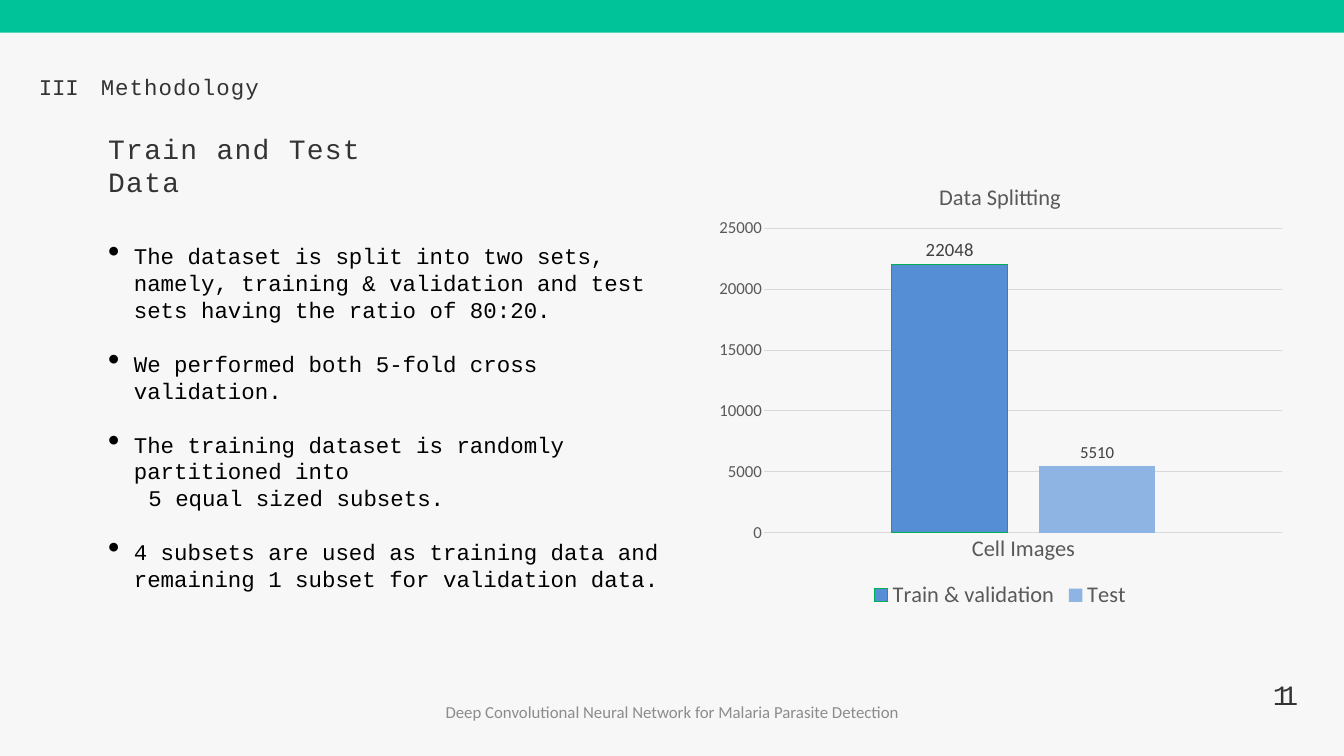
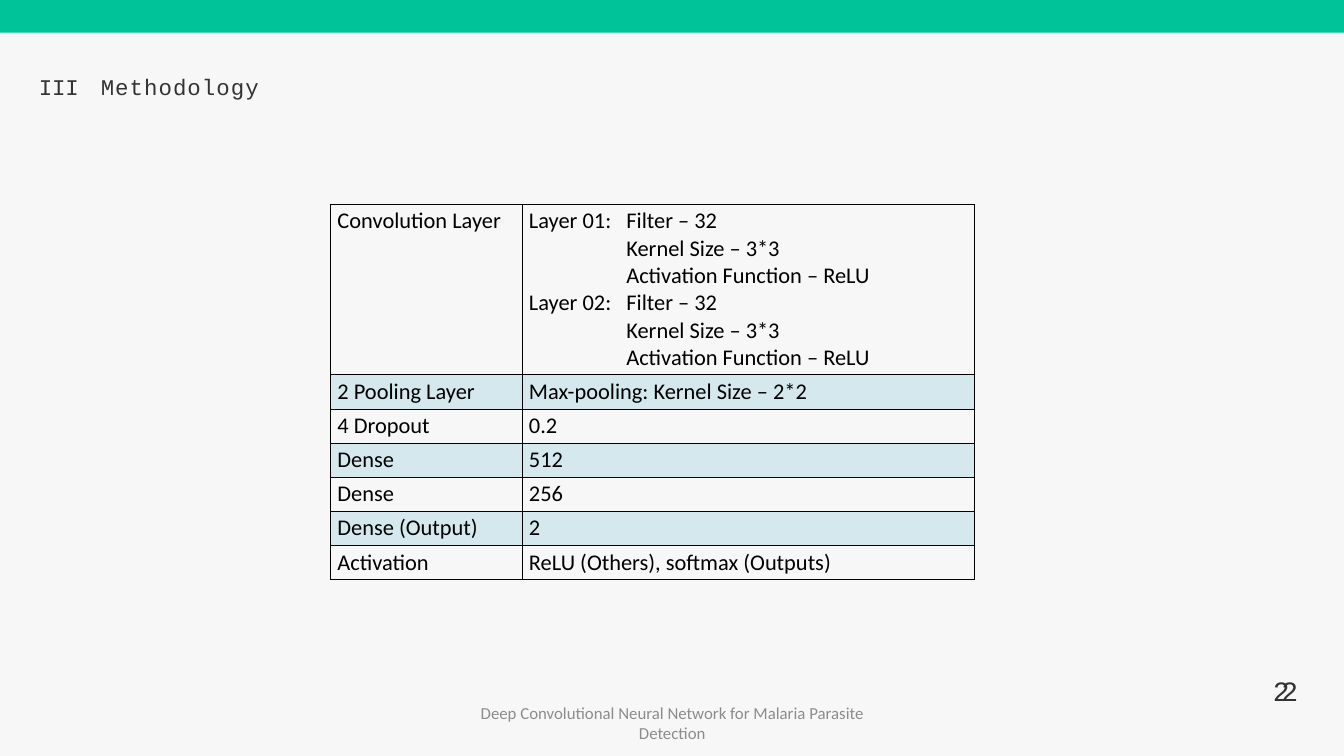
"""Builds two methodology slides: the data split chart and the network layer table."""
from lxml import etree
from pptx import Presentation
from pptx import util as u
from pptx.chart import data as chart_data
from pptx.dml.color import RGBColor
from pptx.enum import chart as charts, shapes, text
from pptx.oxml import parse_xml
from pptx.oxml import ns

COLORS = {
    "page": "F7F7F7", "band": "00C399", "heading": "333333", "body": "000000",
    "footer": "8C8C8C", "axis": "595959", "grid": "D9D9D9", "label": "404040",
    "train": "558ED5", "train_edge": "00B050", "test": "8EB4E3", "stripe": "4BACC6",
}
COLORS = {name: RGBColor.from_string(value) for name, value in COLORS.items()}
MONO, SANS = "Courier New", "Calibri"


def add_box(page, left, top, width, height, inset=0.0):
    box = page.shapes.add_textbox(u.Cm(left), u.Cm(top), u.Cm(width), u.Cm(height))
    frame = box.text_frame
    frame.word_wrap = True
    frame.auto_size = text.MSO_AUTO_SIZE.SHAPE_TO_FIT_TEXT
    frame.margin_left = frame.margin_right = frame.margin_bottom = 0
    frame.margin_top = u.Cm(inset)
    return frame


def write(para, words, size=24, font=MONO, color="body", spacing=0, before=None,
          align=None, margin=0, hanging=0, tab=None, bullet=False):
    span = para.add_run()
    span.text = words
    span.font.size = u.Pt(size)
    span.font.name = font
    span.font.color.rgb = COLORS[color]
    if spacing:
        span.font._element.set("spc", str(round(spacing * 100)))
    if before is not None:
        para.space_before = u.Pt(before)
    if align is not None:
        para.alignment = align
    props = para._p.get_or_add_pPr()
    if margin:
        props.set("marL", str(u.Cm(margin)))
        props.set("indent", str(-u.Cm(hanging)))
    if bullet:
        etree.SubElement(props, ns.qn("a:buSzPct"), val="150000")
        etree.SubElement(props, ns.qn("a:buChar"), char="•")
    if tab:
        stops = etree.SubElement(props, ns.qn("a:tabLst"))
        etree.SubElement(stops, ns.qn("a:tab"), pos=str(u.Cm(tab)), algn="l")


deck = Presentation()
deck.slide_width, deck.slide_height = u.Cm(50.8), u.Cm(28.58)

pages = []
for number, number_inset, footer_top, footer_width in (
        ("11", 0.15, 26.54, 18.72), ("22", 0, 26.57, 16.26)):
    page = deck.slides.add_slide(deck.slide_layouts[6])
    page.background.fill.solid()
    page.background.fill.fore_color.rgb = COLORS["page"]

    band = page.shapes.add_shape(shapes.MSO_SHAPE.RECTANGLE, 0, 0, deck.slide_width, u.Cm(1.24))
    band.shadow.inherit = False
    band.fill.solid()
    band.fill.fore_color.rgb = COLORS["band"]
    band.line.fill.background()

    section = add_box(page, 1.47, 2.72, 12.07, 1.07, 0.03).paragraphs[0]
    write(section, "III\t", color="heading", spacing=-0.2, before=1, tab=2.34)
    write(section, "Methodology", color="heading", spacing=1.1)

    number_box = add_box(page, 48.01, 25.45, 1.3, 1.8, number_inset)
    write(number_box.paragraphs[0], number, size=30, color="heading", spacing=-8.8,
          before=4.5, margin=0.1)

    footer = add_box(page, 25.41 - footer_width / 2, footer_top, footer_width, 1.42)
    write(footer.paragraphs[0], "Deep Convolutional Neural Network for Malaria Parasite Detection",
          size=18, font=SANS, color="footer", align=text.PP_ALIGN.CENTER)
    pages.append(page)

split_page, layers_page = pages

title = add_box(split_page, 4.09, 4.93, 12.62, 1.32, 0.03)
write(title.paragraphs[0], "Train and Test Data", size=30, color="heading", spacing=1.4, before=1)

points = add_box(split_page, 4.09, 9.14, 21.95, 11.33, 0.03)
bulleted = {"margin": 0.97, "hanging": 0.97, "bullet": True}
for index, (words, layout) in enumerate((
        ("The dataset is split into two sets, namely, training & validation and test sets "
         "having the ratio of 80:20.", bulleted),
        ("We performed both 5-fold cross validation.", bulleted | {"before": 28.8}),
        ("The training dataset is randomly partitioned into", bulleted | {"before": 28.8}),
        ("5 equal sized subsets.", {"margin": 1.52}),
        ("4 subsets are used as training data and remaining 1 subset for validation data.",
         bulleted | {"before": 28.8}))):
    para = points.add_paragraph() if index else points.paragraphs[0]
    write(para, words, **layout)

split = chart_data.CategoryChartData()
split.categories = ["Cell Images"]
split.add_series("Train & validation", [22048])
split.add_series("Test", [5510])
chart = split_page.shapes.add_chart(
    charts.XL_CHART_TYPE.COLUMN_CLUSTERED,
    u.Cm(26.67), u.Cm(6.25), u.Cm(22.25), u.Cm(16.94), split).chart
chart.font.name, chart.font.size = SANS, u.Pt(10)
chart.has_title = True
write(chart.chart_title.text_frame.paragraphs[0], "Data Splitting", font=SANS, color="axis")
chart.chart_title.text_frame.paragraphs[0].runs[0].font.bold = False
chart.chart_title.include_in_layout = False
chart.has_legend = True
chart.legend.position = charts.XL_LEGEND_POSITION.BOTTOM
chart.legend.include_in_layout = False

for part, size in ((chart.legend.font, 24), (chart.category_axis.tick_labels.font, 24),
                   (chart.value_axis.tick_labels.font, 18)):
    part.name, part.size = SANS, u.Pt(size)
    part.color.rgb = COLORS["axis"]

for axis in (chart.category_axis, chart.value_axis):
    axis.major_tick_mark = axis.minor_tick_mark = charts.XL_TICK_MARK.NONE
chart.value_axis.minimum_scale = 0
chart.value_axis.maximum_scale = 25000
chart.value_axis.major_unit = 5000
chart.value_axis.format.line.fill.background()
for line in (chart.category_axis.format.line, chart.value_axis.major_gridlines.format.line):
    line.color.rgb = COLORS["grid"]
    line.width = u.Pt(0.75)

plot = chart.plots[0]
plot.vary_by_categories = False
plot.gap_width, plot.overlap = 219, -27
for series, color, size in zip(plot.series, ("train", "test"), (20, 18)):
    series.format.fill.solid()
    series.format.fill.fore_color.rgb = COLORS[color]
    labels = series.data_labels
    labels.show_value = True
    labels.position = charts.XL_LABEL_POSITION.OUTSIDE_END
    labels.font.name, labels.font.size = SANS, u.Pt(size)
    labels.font.color.rgb = COLORS["label"]
plot.series[0].format.line.color.rgb = COLORS["train_edge"]
plot.series[0].format.line.width = u.Pt(0.75)

area = chart._chartSpace.chart.plotArea
for layout in area.findall(ns.qn("c:layout")):
    area.remove(layout)
area.insert(0, parse_xml(
    f'<c:layout {ns.nsdecls("c")}><c:manualLayout><c:layoutTarget val="inner"/>'
    '<c:xMode val="edge"/><c:yMode val="edge"/><c:x val="0.1"/><c:y val="0.14"/>'
    '<c:w val="0.88"/><c:h val="0.68"/></c:manualLayout></c:layout>'))

details = ["Filter – 32", "Kernel Size – 3*3", "Activation Function – ReLU"]
convolution = [line for layer in ("Layer 01:", "Layer 02:")
               for line in (f"{layer}\t{details[0]}", *details[1:])]
rows = [
    ("Convolution Layer", convolution),
    ("2 Pooling Layer", ["Max-pooling: Kernel Size – 2*2"]),
    ("4 Dropout", ["0.2"]),
    ("Dense", ["512"]),
    ("Dense", ["256"]),
    ("Dense (Output)", ["2"]),
    ("Activation", ["ReLU (Others), softmax (Outputs)"]),
]
table = layers_page.shapes.add_table(
    len(rows), 2, u.Cm(12.5), u.Cm(7.72), u.Cm(24.33), u.Cm(14.19)).table
table.first_row = table.horz_banding = False
table.columns[0].width, table.columns[1].width = u.Cm(7.24), u.Cm(17.09)

for row, (name, lines) in enumerate(rows):
    table.rows[row].height = u.Cm(1.29 if row else 6.45)
    for column, content in enumerate(([name], lines)):
        cell = table.cell(row, column)
        for index, words in enumerate(content):
            para = cell.text_frame.add_paragraph() if index else cell.text_frame.paragraphs[0]
            tabbed = "\t" in words
            write(para, words, font=SANS, tab=3.68 if tabbed else None,
                  margin=3.68 if len(content) > 1 and not tabbed else 0)
        props = cell._tc.get_or_add_tcPr()
        for side in ("lnL", "lnR", "lnT", "lnB"):
            props.append(parse_xml(
                f'<a:{side} {ns.nsdecls("a")} w="{u.Pt(1)}"><a:solidFill>'
                f'<a:srgbClr val="{COLORS["body"]}"/></a:solidFill></a:{side}>'))
        if row % 2:
            cell.fill.solid()
            cell.fill.fore_color.rgb = COLORS["stripe"]
            tint = props.find(ns.qn("a:solidFill")).find(ns.qn("a:srgbClr"))
            etree.SubElement(tint, ns.qn("a:alpha"), val="20000")
        else:
            cell.fill.background()

deck.save("out.pptx")
